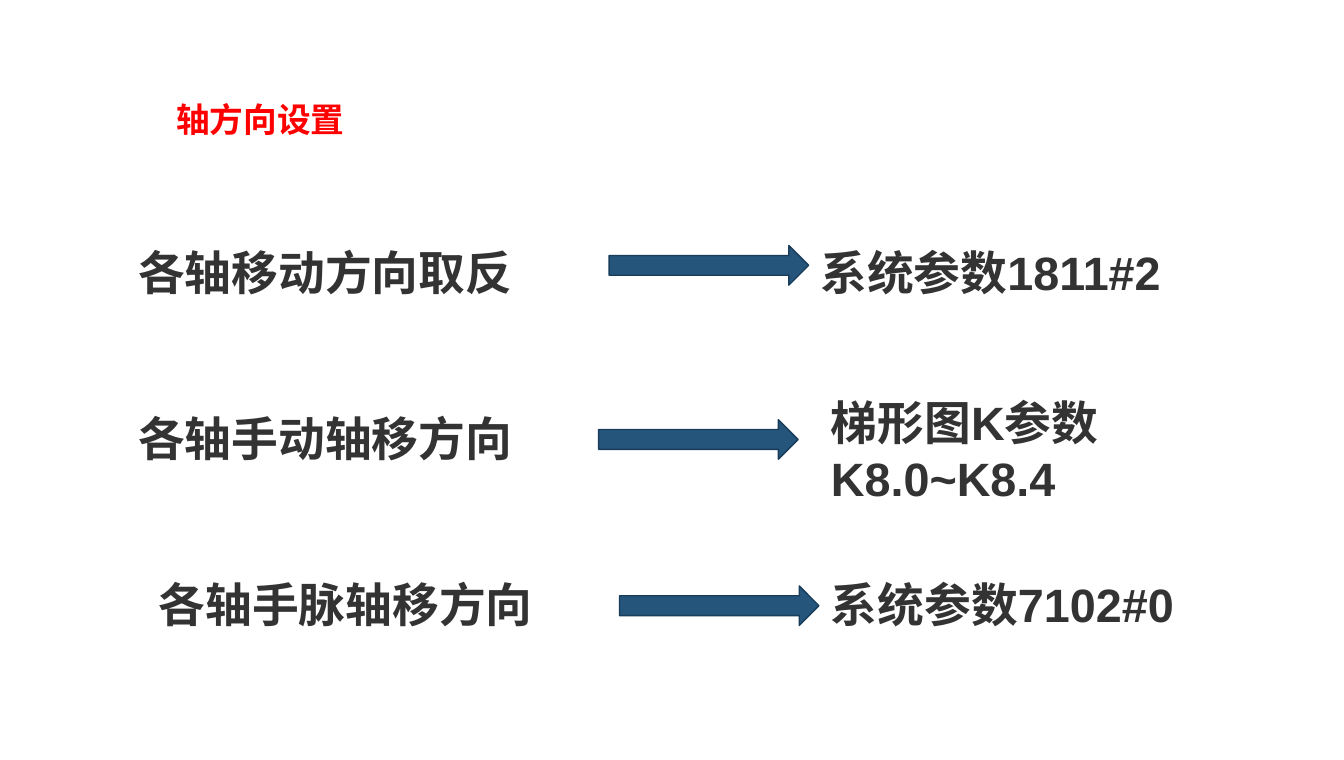
"""Build the axis direction settings slide."""
from lxml import etree
from pptx import Presentation
from pptx.dml.color import RGBColor
from pptx.enum.shapes import MSO_SHAPE
from pptx.enum.text import MSO_ANCHOR, PP_ALIGN
from pptx.oxml.ns import qn
from pptx.util import Cm, Pt

RIGHT_ARROW = MSO_SHAPE.RIGHT_ARROW
TOP = MSO_ANCHOR.TOP
LEFT = PP_ALIGN.LEFT

RED = RGBColor(0xFF, 0x00, 0x00)
CHARCOAL = RGBColor(0x33, 0x33, 0x33)
BLUE = RGBColor(0x25, 0x55, 0x7B)
NAVY = RGBColor(0x18, 0x3C, 0x59)

CJK_FONT = "Noto Sans CJK SC"
LATIN_FONT = "Arial"

FIRST_ROW_TOP = 12.19
ROW_PITCH = 8.53
TEXT_WIDTH = 25.32
LINE_HEIGHT = 3.51

ROWS = [
    {"setting": ("各轴移动方向取反", 6.48), "arrow": (31.27, 0.41),
     "parameter": ("系统参数1811#2", 41.5, 0, LINE_HEIGHT)},
    {"setting": ("各轴手动轴移方向", 6.48), "arrow": (30.73, 0.81),
     "parameter": ("梯形图K参数K8.0~K8.4", 42.04, -0.81, 6.38)},
    {"setting": ("各轴手脉轴移方向", 7.54), "arrow": (31.8, 0.81),
     "parameter": ("系统参数7102#0", 42.04, 0, LINE_HEIGHT)},
]


def add_text(page, text, left, top, width, height,
             size=68, color=CHARCOAL, font=LATIN_FONT):
    """Add a bold, wrapping text box."""
    box = page.shapes.add_textbox(Cm(left), Cm(top), Cm(width), Cm(height))
    frame = box.text_frame
    frame.word_wrap = True
    frame.vertical_anchor = TOP
    frame.margin_left = frame.margin_right = Cm(0.61)
    frame.margin_top = frame.margin_bottom = Cm(0.3)
    para = frame.paragraphs[0]
    para.alignment = LEFT
    span = para.add_run()
    span.text = text
    span.font.name = font
    span.font.size = Pt(size)
    span.font.bold = True
    span.font.color.rgb = color
    east_asian = etree.SubElement(span.font._element, qn("a:ea"))
    east_asian.set("typeface", CJK_FONT)


def add_arrow(page, left, top):
    """Add a block arrow pointing right."""
    arrow = page.shapes.add_shape(
        RIGHT_ARROW, Cm(left), Cm(top), Cm(10.24), Cm(2.03))
    arrow.shadow.inherit = False
    arrow.fill.solid()
    arrow.fill.fore_color.rgb = BLUE
    arrow.line.color.rgb = NAVY
    arrow.line.width = Pt(2)


def add_row(page, row, top):
    """Add a setting, its arrow and the parameter it leads to."""
    setting, setting_left = row["setting"]
    arrow_left, arrow_shift = row["arrow"]
    parameter, parameter_left, parameter_shift, height = row["parameter"]
    add_text(page, setting, setting_left, top, TEXT_WIDTH, LINE_HEIGHT)
    add_arrow(page, arrow_left, top + arrow_shift)
    add_text(page, parameter, parameter_left, top + parameter_shift,
             TEXT_WIDTH, height)


def main():
    """Create the deck and save it."""
    deck = Presentation()
    deck.slide_width = Cm(68.99)
    deck.slide_height = Cm(38.99)
    page = deck.slides.add_slide(deck.slide_layouts[6])
    add_text(page, "轴方向设置", 8.43, 4.75, 30.94, 2.69,
             size=49, color=RED, font=CJK_FONT)
    for index, row in enumerate(ROWS):
        add_row(page, row, FIRST_ROW_TOP + index * ROW_PITCH)
    deck.save("out.pptx")


if __name__ == "__main__":
    main()
